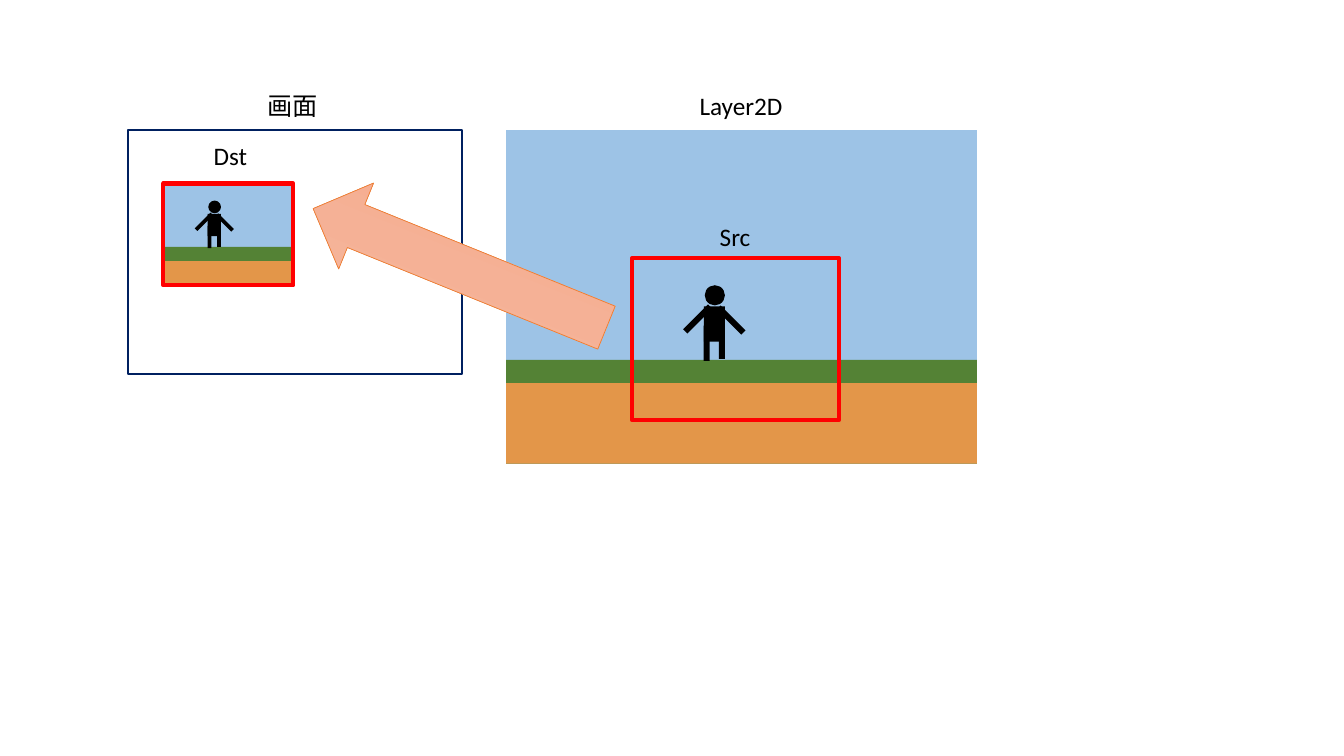
from copy import deepcopy
from pptx import Presentation
from pptx.util import Inches, Pt
from pptx.dml.color import RGBColor
from pptx.enum.shapes import MSO_SHAPE as Kind
from pptx.enum.text import MSO_AUTO_SIZE as Fit

SKY, GRASS, SOIL, INK = "9DC3E6", "548235", "E39649", "000000"
NAVY, RED, ORANGE = "002060", "FF0000", "ED7D31"
BLUSH = ["F7BDA5", "F5B196", "F8A582"]


def tint(code):
    """Turn a hex string into a colour."""
    return RGBColor.from_string(code)


class Page:
    """Hold the style and the current slide."""

    font, size = "Calibri", 18

    def __init__(self, deck):
        """Add a blank slide to the deck."""
        self.slide = deck.slides.add_slide(deck.slide_layouts[6])

    def group(self):
        """Add a group and return its shapes."""
        return self.slide.shapes.add_group_shape().shapes

    def shape(self, at, kind=Kind.RECTANGLE, fill=None, line=None, width=1, turn=0, home=None):
        """Draw a preset shape on the slide or in a group."""
        home = self.slide.shapes if home is None else home
        item = home.add_shape(kind, *map(Inches, at))
        item.shadow.inherit = False
        item.rotation = turn
        if fill:
            item.fill.solid()
            item.fill.fore_color.rgb = tint(fill)
        else:
            item.fill.background()
        if line:
            item.line.color.rgb = tint(line)
            item.line.width = Pt(width)
        else:
            item.line.fill.background()
        return item

    def land(self, x, y, wide, bands, home):
        """Draw bands that share a base, from back to front."""
        base = y + bands[0][0]
        for high, fill in bands:
            self.shape((x, base - high, wide, high), fill=fill, home=home)

    def man(self, x, y, scale, home):
        """Draw a figure whose body starts at x and head top at y."""
        parts = [
            (0.01, 0, 0.2, 0.2, Kind.OVAL, 0),
            (0, 0.21, 0.21, 0.35, Kind.RECTANGLE, 0),
            (0, 0.4, 0.06, 0.35, Kind.RECTANGLE, 0),
            (0.15, 0.38, 0.06, 0.35, Kind.RECTANGLE, 0),
            (-0.09, 0.16, 0.06, 0.35, Kind.RECTANGLE, 45),
            (0.24, 0.17, 0.06, 0.35, Kind.RECTANGLE, 315),
        ]
        for left, top, wide, high, kind, turn in parts:
            at = (x + left * scale, y + top * scale, wide * scale, high * scale)
            self.shape(at, kind, INK, turn=turn, home=home)

    def arrow(self, at, turn, stops, line):
        """Draw a block arrow with an even gradient."""
        item = self.shape(at, Kind.RIGHT_ARROW, line=line, width=0.5, turn=turn)
        item.fill.gradient()
        item.fill.gradient_angle = 270
        first = item.fill.gradient_stops[0]
        node = item._element.spPr.xpath("./a:gradFill/a:gsLst/a:gs")[0]
        for _ in stops[2:]:
            node.addnext(deepcopy(node))
        for i, (stop, code) in enumerate(zip(item.fill.gradient_stops, stops)):
            stop.color.rgb = tint(code)
            stop.position = i / (len(stops) - 1)

    def label(self, text, x, y, wide):
        """Write a one-line label."""
        frame = self.slide.shapes.add_textbox(*map(Inches, (x, y, wide, 0.4))).text_frame
        frame.word_wrap = False
        frame.auto_size = Fit.SHAPE_TO_FIT_TEXT
        line = frame.paragraphs[0]
        line.text = text
        line.font.name, line.font.size = self.font, Pt(self.size)
        line.font.color.rgb = tint(INK)


deck = Presentation()
deck.slide_width, deck.slide_height = Inches(13.33), Inches(7.5)
page = Page(deck)

page.shape((1.27, 1.29, 3.31, 2.42), line=NAVY, width=1.5)

layer = page.group()
page.land(5.02, 1.29, 4.67, [(3.31, SKY), (1.03, GRASS), (0.8, SOIL)], layer)
page.man(6.98, 2.83, 1, layer)
page.shape((6.27, 2.56, 2.05, 1.61), line=RED, width=3)

view = page.group()
page.land(1.62, 1.82, 1.29, [(1.01, SKY), (0.38, GRASS), (0.24, SOIL)], view)
page.man(2.06, 1.99, 0.63, view)
page.shape((1.62, 1.82, 1.29, 1.01), line=RED, width=3, home=view)

page.arrow((2.99, 2.2, 3.14, 0.92), 202.1, BLUSH, ORANGE)

for name in [("Dst", 2.02, 1.34, 0.75), ("Src", 7.04, 2.15, 0.6),
             ("Layer2D", 6.84, 0.85, 1.03), ("画面", 2.55, 0.85, 0.75)]:
    page.label(*name)

deck.save("out.pptx")
